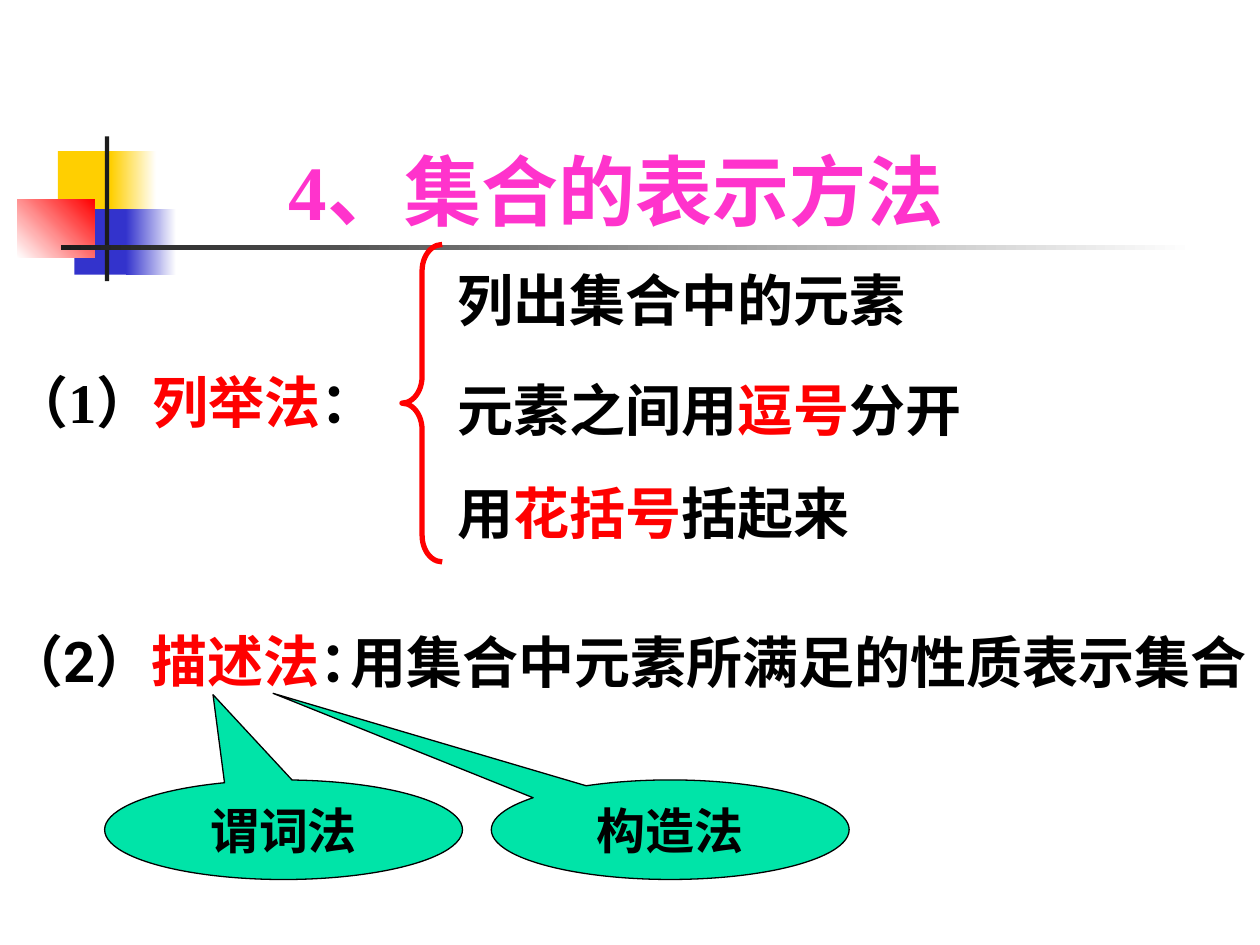
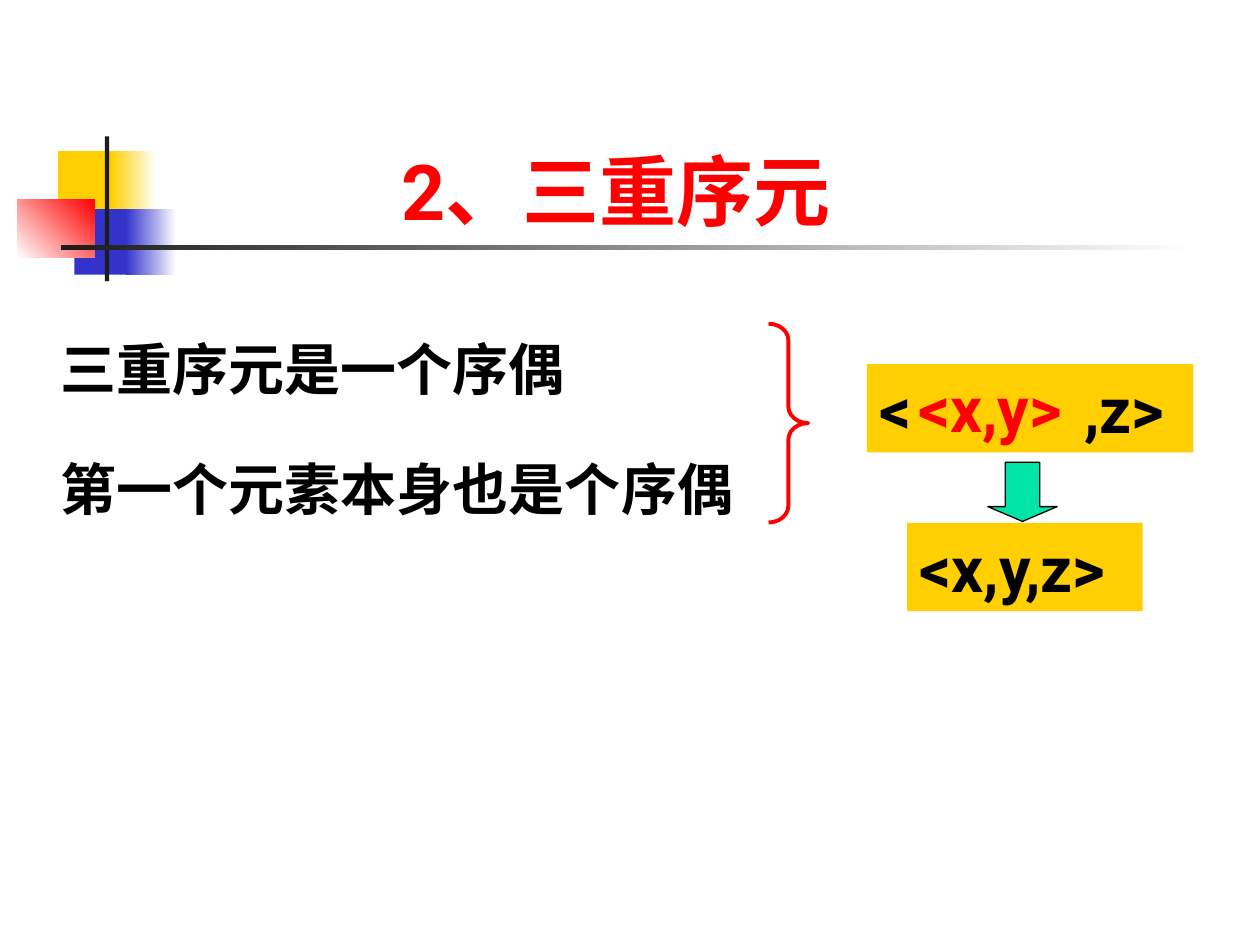
from lxml import etree
from pptx import Presentation
from pptx.dml.color import RGBColor
from pptx.enum.shapes import MSO_SHAPE
from pptx.enum.text import MSO_ANCHOR, MSO_AUTO_SIZE, PP_ALIGN
from pptx.oxml.ns import qn
from pptx.util import Pt

RECT = MSO_SHAPE.RECTANGLE
CALLOUT = MSO_SHAPE.OVAL_CALLOUT
LEFT_BRACE, RIGHT_BRACE = MSO_SHAPE.LEFT_BRACE, MSO_SHAPE.RIGHT_BRACE
DOWN_ARROW = MSO_SHAPE.DOWN_ARROW
LEFT, CENTER = PP_ALIGN.LEFT, PP_ALIGN.CENTER
TOP, BOTTOM = MSO_ANCHOR.TOP, MSO_ANCHOR.BOTTOM
NO_FIT = MSO_AUTO_SIZE.NONE

SANS, SERIF = "Roboto", "Times New Roman"
BLACK, RED, PINK, WHITE = "000000", "FF0000", "FF33CC", "FFFFFF"
GOLD, BLUE, GREEN, DARK = "FFCF01", "3333CC", "00E4A8", "1C1C1C"

TITLE_BOX = (0, 48.2, 704.2, 90)
MOTIF = [
    ((33.1, 86.4, 34.6, 37.4), (GOLD,), 0),
    ((63.4, 86.4, 25.9, 37.4), (GOLD, WHITE), 0),
    ((42.5, 119.5, 33.1, 37.4), (BLUE,), 0),
    ((72, 119.5, 28.8, 37.4), (BLUE, WHITE), 0),
    ((9.8, 113.8, 44.2, 33.4), (WHITE, RED), 45),
    ((59.9, 77.9, 2.5, 82.8), (DARK,), 0),
    ((34.9, 140.2, 648, 2.4), (DARK, WHITE), 0),
]

LISTING_LABEL = [("（1）", BLACK), ("列举法", RED), ("：", BLACK)]
PROPERTY_LABEL = [("（2）", BLACK), ("描述法", RED), ("：", BLACK)]
LISTING_RULES = [
    (148.3, [("列出集合中的元素", BLACK)]),
    (211, [("元素之间用", BLACK), ("逗号", RED), ("分开", BLACK)]),
    (270, [("用", BLACK), ("花括号", RED), ("括起来", BLACK)]),
]
PROPERTY_RULE = [("用集合中元素所满足的性质表示集合", BLACK)]
OTHER_NAMES = [(59.8, "谓词法", (-0.197, -1.357)), (280.8, "构造法", (-1.11, -1.37))]

TRIPLE_FACTS = [(187.9, "三重序元是一个序偶"), (256.3, "第一个元素本身也是个序偶")]
LABEL_W, RULE_W, FACT_W = 200, 330, 410
LINE_H, FORMULA_H = 46.1, 50.4


def rgb(color):
    return RGBColor.from_string(color)


def write(s, runs, size=32, font=SANS, align=LEFT, anchor=TOP, wrap=True):
    tf = s.text_frame
    tf.word_wrap = wrap
    tf.vertical_anchor = anchor
    tf.auto_size = NO_FIT
    p = tf.paragraphs[0]
    p.alignment = align
    for text, color in runs:
        r = p.add_run()
        r.text = text
        r.font.size, r.font.bold, r.font.name = Pt(size), True, font
        r.font.color.rgb = rgb(color)
        rpr = r.font._element
        rpr.set("lang", "zh-CN")
        etree.SubElement(rpr, qn("a:ea"), typeface=SANS)
    return p


def add_text(slide, box, runs, **style):
    return write(slide.shapes.add_textbox(*map(Pt, box)), runs, **style)


def add_shape(slide, kind, box, fills=(), line=None, width=0.75, adj=(), angle=0):
    s = slide.shapes.add_shape(kind, *map(Pt, box))
    s.shadow.inherit = False
    for i, value in enumerate(adj):
        s.adjustments[i] = value
    if len(fills) == 2:
        s.fill.gradient()
        s.fill.gradient_angle = angle
        for stop, color in zip(s.fill.gradient_stops, fills):
            stop.color.rgb = rgb(color)
    elif fills:
        s.fill.solid()
        s.fill.fore_color.rgb = rgb(fills[0])
    else:
        s.fill.background()
    if line:
        s.line.color.rgb = rgb(line)
        s.line.width = Pt(width)
    else:
        s.line.fill.background()
    return s


def add_slide(prs, title, color, font):
    slide = prs.slides.add_slide(prs.slide_layouts[6])
    for box, fills, angle in MOTIF:
        add_shape(slide, RECT, box, fills, angle=angle)
    add_text(slide, TITLE_BOX, [(title, color)], size=44, font=font, align=CENTER, anchor=BOTTOM)
    return slide


def build_methods(prs):
    slide = add_slide(prs, "4、集合的表示方法", PINK, SERIF)
    p = add_text(slide, (0, 198.7, LABEL_W, 100), LISTING_LABEL, font=SERIF)
    p.line_spacing = 1.2
    ppr = p._p.get_or_add_pPr()
    ppr.set("marL", str(Pt(27)))
    ppr.set("indent", str(-Pt(27)))
    add_text(slide, (-2.9, 354.2, LABEL_W, 2 * LINE_H), PROPERTY_LABEL)
    add_shape(slide, LEFT_BRACE, (229.7, 139.7, 23, 181.4), line=RED, width=3, adj=(0.66, 0.5))
    for top, runs in LISTING_RULES:
        add_text(slide, (254.2, top, RULE_W, LINE_H), runs)
    add_text(slide, (193, 355, 527, LINE_H), PROPERTY_RULE, wrap=False)
    for left, name, tip in OTHER_NAMES:
        s = add_shape(slide, CALLOUT, (left, 445.7, 204.5, 56.9), (GREEN,), BLACK, adj=tip)
        write(s, [(name, BLACK)], size=28, align=CENTER)


def build_triple(prs):
    slide = add_slide(prs, "2、三重序元", RED, SANS)
    for top, fact in TRIPLE_FACTS:
        add_text(slide, (27.7, top, FACT_W, LINE_H), [(fact, BLACK)])
    add_shape(slide, RIGHT_BRACE, (439.2, 185, 22.6, 113.6), line=RED, width=2.25, adj=(0.42, 0.5))
    nested = add_shape(slide, RECT, (495.4, 208.1, 186.5, FORMULA_H), (GOLD,))
    p = write(nested, [("<\t,z>", BLACK)], size=36)
    tabs = etree.SubElement(p._p.get_or_add_pPr(), qn("a:tabLst"))
    etree.SubElement(tabs, qn("a:tab"), pos=str(Pt(117)), algn="l")
    add_shape(slide, DOWN_ARROW, (564.5, 264.2, 39.6, 33.8), (GREEN,), BLACK, adj=(0.5, 0.25))
    flat = add_shape(slide, RECT, (518.4, 298.8, 134.6, FORMULA_H), (GOLD,))
    write(flat, [("<x,y,z>", BLACK)], size=36)
    add_text(slide, (517.7, 207.4, 107.3, FORMULA_H), [("<x,y>", RED)], size=36)


def main():
    prs = Presentation()
    prs.slide_width, prs.slide_height = Pt(720), Pt(540)
    build_methods(prs)
    build_triple(prs)
    prs.save("out.pptx")


if __name__ == "__main__":
    main()
